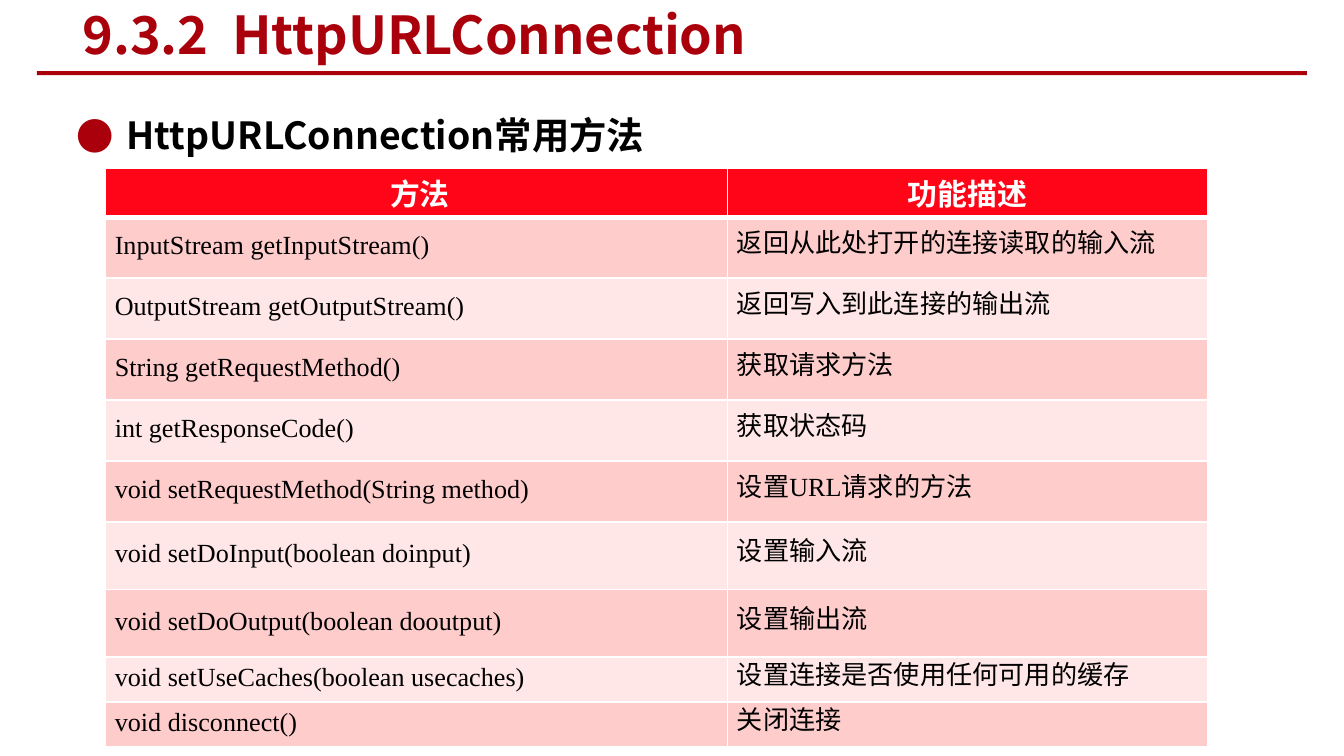
from lxml import etree
from pptx import Presentation
from pptx import util as u
from pptx.dml.color import RGBColor
from pptx.enum import shapes, text
from pptx.oxml import ns

Pt = u.Pt

CRIMSON = RGBColor(0xAA, 0x00, 0x0B)
HEADER_RED = RGBColor(0xFF, 0x05, 0x17)
PINK = RGBColor(0xFF, 0xCC, 0xCC)
PALE_PINK = RGBColor(0xFF, 0xE7, 0xE8)
WHITE = RGBColor(0xFF, 0xFF, 0xFF)
BLACK = RGBColor(0x00, 0x00, 0x00)

SANS = "Noto Sans CJK SC"
SERIF = "Times New Roman"

HEADINGS = (" 方法", "功能描述")
METHODS = (
    ("InputStream getInputStream()", "返回从此处打开的连接读取的输入流"),
    ("OutputStream getOutputStream()", "返回写入到此连接的输出流"),
    ("String getRequestMethod()", "获取请求方法"),
    ("int getResponseCode()", "获取状态码"),
    ("void setRequestMethod(String method)", "设置URL请求的方法"),
    ("void setDoInput(boolean doinput)", "设置输入流"),
    ("void setDoOutput(boolean dooutput)", "设置输出流"),
    ("void setUseCaches(boolean usecaches)", "设置连接是否使用任何可用的缓存"),
    ("void disconnect()", "关闭连接"),
)
COLUMN_WIDTHS = (333.3, 257.1)
ROW_HEIGHTS = (26, *[32.7] * 5, 36.2, 36.2, 24, 24)


def add_element(parent, tag, **attributes):
    return etree.SubElement(parent, ns.qn(tag), attributes)


def write_text(frame, content, size, font, color, bold=False, align=None,
               spacing=None, indent=0, hanging=0, bullet=None):
    paragraph = frame.paragraphs[0]
    if align is not None:
        paragraph.alignment = align
    if spacing is not None:
        paragraph.line_spacing = spacing
    if indent:
        properties = paragraph._p.get_or_add_pPr()
        properties.set("marL", str(Pt(indent)))
        properties.set("indent", str(-Pt(hanging)))
    if bullet:
        bullet_color = add_element(properties, "a:buClr")
        add_element(bullet_color, "a:srgbClr", val=str(CRIMSON))
        add_element(properties, "a:buFont", typeface=SANS)
        add_element(properties, "a:buChar", char=bullet)
    run = paragraph.add_run()
    run.text = content
    run.font.size = Pt(size)
    run.font.name = font
    run.font.bold = bold
    run.font.color.rgb = color
    add_element(run._r.get_or_add_rPr(), "a:ea", typeface=SANS)


def add_text_box(slide, box, content, anchor=text.MSO_ANCHOR.TOP, **style):
    frame = slide.shapes.add_textbox(*map(Pt, box)).text_frame
    frame.word_wrap = True
    frame.vertical_anchor = anchor
    write_text(frame, content, **style)


def add_title(slide, left, top, width, height):
    add_text_box(slide, (left + 17.3, top, 442, height - 5.5), "9.3.2  HttpURLConnection",
                 anchor=text.MSO_ANCHOR.MIDDLE, size=28, font=SANS, color=CRIMSON, bold=True)
    rule = slide.shapes.add_shape(shapes.MSO_SHAPE.RECTANGLE, Pt(left),
                                  Pt(top + height - 2.2), Pt(width), Pt(2.2))
    rule.shadow.inherit = False
    rule.fill.solid()
    rule.fill.fore_color.rgb = CRIMSON
    rule.line.fill.background()


def add_topic(slide, left, top, width, height):
    add_text_box(slide, (left, top, width, height), "HttpURLConnection常用方法",
                 size=20, font=SANS, color=BLACK, bold=True, spacing=1.5,
                 indent=27, hanging=27, bullet="●")


def set_borders(cell, bottom_width):
    properties = cell._tc.get_or_add_tcPr()
    for position, (side, width) in enumerate(
            (("L", 1), ("R", 1), ("T", 1), ("B", bottom_width))):
        line = etree.Element(ns.qn(f"a:ln{side}"), w=str(Pt(width)))
        fill = add_element(line, "a:solidFill")
        add_element(fill, "a:srgbClr", val=str(WHITE))
        properties.insert(position, line)


def add_method_table(slide, left, top, width, height):
    rows = (HEADINGS, *METHODS)
    table = slide.shapes.add_table(len(rows), len(HEADINGS), Pt(left), Pt(top),
                                   Pt(width), Pt(height)).table
    for column, column_width in zip(table.columns, COLUMN_WIDTHS):
        column.width = Pt(column_width)
    for index, (row, row_height, contents) in enumerate(zip(table.rows, ROW_HEIGHTS, rows)):
        row.height = Pt(row_height)
        if index == 0:
            fill = HEADER_RED
            style = dict(size=16, font="Arial", color=WHITE, bold=True,
                         align=text.PP_ALIGN.CENTER)
        else:
            fill = PINK if index % 2 else PALE_PINK
            style = dict(size=14, font=SERIF, color=BLACK, spacing=Pt(13.5), indent=5)
        for cell, content in zip(row.cells, contents):
            cell.margin_left = cell.margin_right = cell.margin_top = cell.margin_bottom = 0
            cell.vertical_anchor = text.MSO_ANCHOR.MIDDLE
            cell.fill.solid()
            cell.fill.fore_color.rgb = fill
            set_borders(cell, 1 if index else 3)
            write_text(cell.text_frame, content, **style)


def main():
    presentation = Presentation()
    presentation.slide_width = Pt(720)
    presentation.slide_height = Pt(405)
    slide = presentation.slides.add_slide(presentation.slide_layouts[6])
    add_title(slide, 19.7, 1.4, 680.4, 38.9)
    add_topic(slide, 33.8, 44.6, 674.6, 163.4)
    add_method_table(slide, 56.5, 90.3, sum(COLUMN_WIDTHS), sum(ROW_HEIGHTS))
    presentation.save("out.pptx")


if __name__ == "__main__":
    main()
